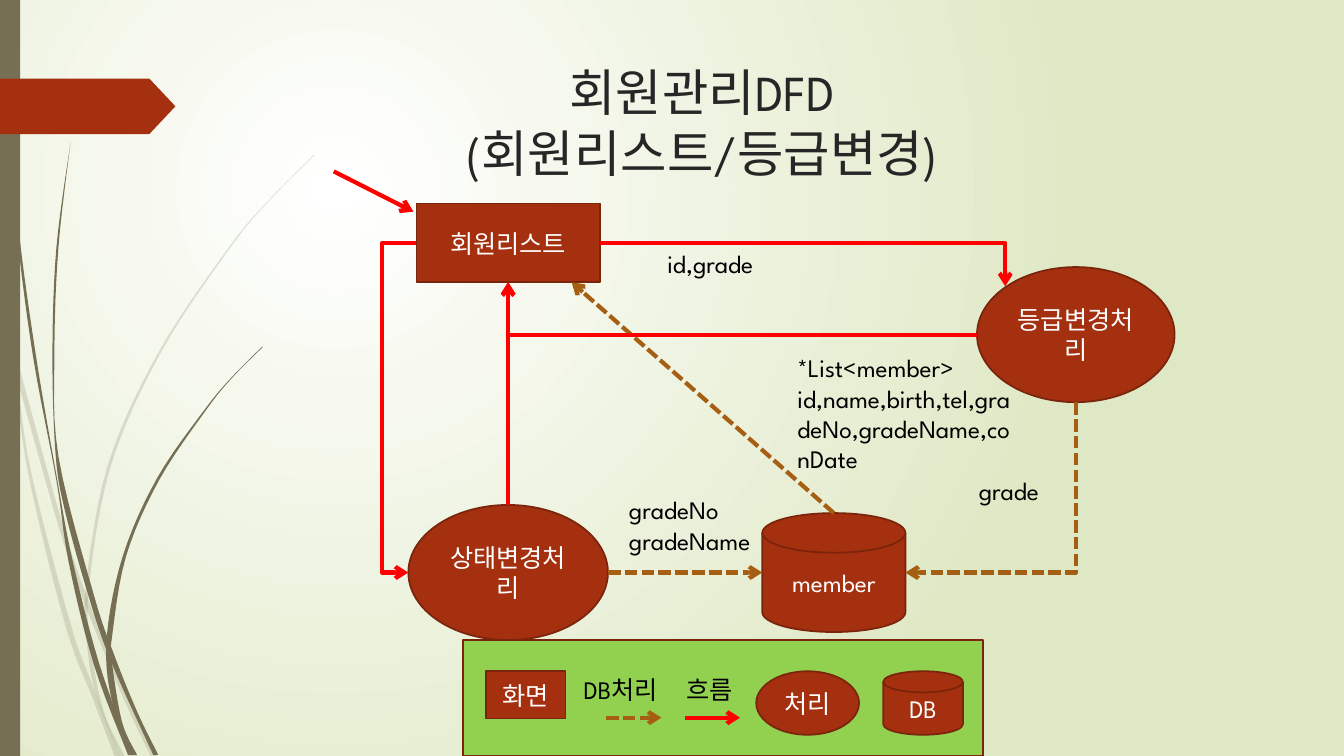
from dataclasses import dataclass

from lxml.etree import SubElement
from pptx import Presentation
from pptx.dml.color import RGBColor
from pptx.enum.dml import MSO_LINE
from pptx.enum.shapes import MSO_CONNECTOR, MSO_SHAPE
from pptx.enum.text import MSO_ANCHOR, PP_ALIGN
from pptx.oxml import parse_xml
from pptx.oxml.ns import nsdecls, qn
from pptx.util import Emu, Pt

PX = 9144
Point = tuple[int, int]
Box = tuple[int, int, int, int]


@dataclass(frozen=True)
class Theme:
    """Colours, font and type sizes of the slide."""
    font: str = "League Spartan"
    title_size: int = 36
    body_size: int = 18
    title: str = "262626"
    ink: str = "000000"
    white: str = "FFFFFF"
    edge_glow: str = "DFE8C4"
    stem: str = "766F54"
    brick: str = "A53010"
    brick_edge: str = "7A240C"
    flow: str = "FF0000"
    database: str = "A65E12"
    legend: str = "92D050"


THEME = Theme()


@dataclass(frozen=True)
class Wisp:
    """A grass blade given by its left and right edges."""
    left: list[Point]
    right: list[Point]
    opacity: int = 100


@dataclass(frozen=True)
class Node:
    """A diagram shape with its label."""
    kind: MSO_SHAPE
    box: Box
    label: str = ""
    fill: str = THEME.brick


@dataclass(frozen=True)
class Flow:
    """An arrow; joins are (node name, site) pairs."""
    begin: Point
    end: Point
    database: bool = False
    preset: str = "line"
    bend: int = 0
    turn: int = 0
    begin_join: tuple[str, int] | None = None
    end_join: tuple[str, int] | None = None


@dataclass(frozen=True)
class Note:
    """Free text beside the arrows."""
    box: Box
    lines: tuple[str, ...]
    wrap: bool = True


WISPS = [
    Wisp([(0, 299), (11, 350), (28, 470), (65, 621), (92, 693), (114, 751)],
         [(0, 282), (9, 322), (17, 376), (31, 469), (70, 619), (93, 683), (119, 751)], 20),
    Wisp([(17, 376), (58, 522), (84, 599), (123, 694), (150, 751)],
         [(14, 345), (62, 520), (92, 607), (127, 692), (155, 751)], 20),
    Wisp([(312, 153), (268, 197), (228, 244), (158, 348), (107, 461), (85, 584),
          (87, 646), (96, 692), (119, 751)],
         [(312, 154), (268, 198), (229, 245), (160, 349), (110, 462), (88, 584),
          (91, 646), (103, 706), (124, 751)], 20),
    Wisp([(3, 0), (7, 110), (17, 233), (33, 355), (56, 477), (68, 557), (93, 659), (127, 749)],
         [(4, 0), (8, 109), (19, 232), (36, 355), (57, 477), (72, 556), (98, 657), (131, 749)]),
    Wisp([(70, 141), (56, 245), (52, 349), (55, 449), (64, 505), (88, 592), (110, 656), (152, 749)],
         [(70, 141), (58, 245), (54, 349), (58, 453), (93, 590), (113, 649), (136, 706), (157, 749)]),
    Wisp([(260, 344), (231, 373), (204, 405), (156, 474), (122, 551), (106, 631),
          (110, 691), (130, 749)],
         [(261, 344), (231, 374), (205, 406), (158, 476), (125, 552), (111, 633),
          (111, 656), (121, 716), (136, 749)]),
]
NODES = {
    "list": Node(MSO_SHAPE.RECTANGLE, (413, 202, 182, 78), "회원리스트"),
    "member": Node(MSO_SHAPE.FLOWCHART_MAGNETIC_DISK, (756, 509, 142, 118), "member"),
    "state": Node(MSO_SHAPE.OVAL, (405, 501, 198, 134), "상태변경처리"),
    "grade": Node(MSO_SHAPE.OVAL, (969, 265, 196, 134), "등급변경처리"),
    "legend": Node(MSO_SHAPE.RECTANGLE, (459, 635, 516, 115), fill=THEME.legend),
    "screen key": Node(MSO_SHAPE.RECTANGLE, (482, 666, 79, 47), "화면"),
    "process key": Node(MSO_SHAPE.OVAL, (750, 666, 102, 63), "처리"),
    "database key": Node(MSO_SHAPE.FLOWCHART_MAGNETIC_DISK, (876, 666, 79, 63), "DB"),
}
FLOWS = [
    Flow((331, 170), (410, 210)),
    Flow((413, 241), (405, 568), preset="bentConnector3", bend=425000, begin_join=("list", 1)),
    Flow((504, 501), (504, 280), begin_join=("state", 0), end_join=("list", 2)),
    Flow((603, 568), (756, 568), database=True),
    Flow((595, 241), (997, 284), preset="bentConnector2", begin_join=("list", 3)),
    Flow((827, 509), (567, 280), database=True),
    Flow((969, 332), (504, 280), preset="bentConnector2", end_join=("list", 2)),
    Flow((898, 399), (1067, 568), database=True, preset="bentConnector2", turn=90),
    Flow((679, 712), (734, 712)),
    Flow((601, 712), (656, 712), database=True),
]
NOTES = [
    Note((652, 241, 142, 40), ("id,grade",)),
    Note((614, 486, 170, 70), ("gradeNo", "gradeName"), wrap=False),
    Note((671, 664, 71, 40), ("흐름",)),
    Note((569, 664, 101, 40), ("DB처리",), wrap=False),
    Note((961, 467, 93, 39), ("grade",)),
    Note((781, 345, 231, 129), ("*List<member>", "id,name,birth,tel,gradeNo,gradeName,conDate")),
]


def scaled(values: tuple[int, ...]) -> list[Emu]:
    """Turn px into EMU."""
    return [Emu(value * PX) for value in values]


def smooth(points: list[Point]) -> list[tuple[float, float]]:
    """Run a Catmull-Rom curve through the points, in EMU."""
    padded = [points[0], *points, points[-1]]
    curve = []
    for a, b, c, d in zip(padded, padded[1:], padded[2:], padded[3:]):
        for t in (step / 6 for step in range(6)):
            curve.append(tuple(PX / 2 * (
                2 * q + (r - p) * t + (2 * p - 5 * q + 4 * r - s) * t ** 2
                + (3 * q - p - 3 * r + s) * t ** 3) for p, q, r, s in zip(a, b, c, d)))
    return [*curve, (points[-1][0] * PX, points[-1][1] * PX)]


def paint(shape, fill: str, edge: str | None = None) -> None:
    """Give a shape a flat fill and an optional outline."""
    shape.shadow.inherit = False
    shape.fill.solid()
    shape.fill.fore_color.rgb = RGBColor.from_string(fill)
    if edge:
        shape.line.color.rgb = RGBColor.from_string(edge)
        shape.line.width = Pt(1.25)
    else:
        shape.line.fill.background()


def write(frame, lines: tuple[str, ...], *, size: int = THEME.body_size, color: str = THEME.ink,
          align=PP_ALIGN.LEFT, anchor=MSO_ANCHOR.TOP, wrap: bool = True) -> None:
    """Fill a text frame with one paragraph per line."""
    frame.word_wrap = wrap
    frame.vertical_anchor = anchor
    for index, line in enumerate(lines):
        para = frame.add_paragraph() if index else frame.paragraphs[0]
        para.alignment = align
        span = para.add_run()
        span.text = line
        span.font.size, span.font.name = Pt(size), THEME.font
        span.font.color.rgb = RGBColor.from_string(color)


def draw_background(page) -> None:
    """Set the round gradient behind the slide."""
    page.background.fill.solid()
    holder = page.background.fill._xPr
    stops = "".join(f'<a:gs pos="{place}"><a:srgbClr val="{color}"/></a:gs>'
                    for place, color in ((0, THEME.white), (100000, THEME.edge_glow)))
    holder.replace(holder.find(qn("a:solidFill")), parse_xml(
        f'<a:gradFill {nsdecls("a")} rotWithShape="1"><a:gsLst>{stops}</a:gsLst><a:path path="circle">'
        '<a:fillToRect l="50000" t="50000" r="100000" b="100000"/></a:path></a:gradFill>'))


def draw_wisp(page, wisp: Wisp) -> None:
    """Draw one grass blade."""
    outline = smooth(wisp.left) + smooth(wisp.right)[::-1]
    builder = page.shapes.build_freeform(*outline[0], scale=1.0)
    builder.add_line_segments(outline[1:], close=True)
    blade = builder.convert_to_shape()
    paint(blade, THEME.stem)
    color = blade._element.spPr.find(qn("a:solidFill"))[0]
    SubElement(color, qn("a:alpha")).set("val", str(wisp.opacity * 1000))


def draw_node(page, node: Node):
    """Draw one labelled shape."""
    shape = page.shapes.add_shape(node.kind, *scaled(node.box))
    paint(shape, node.fill, THEME.brick_edge)
    if node.label:
        write(shape.text_frame, (node.label,), color=THEME.white,
              align=PP_ALIGN.CENTER, anchor=MSO_ANCHOR.MIDDLE)
    return shape


def draw_flow(page, flow: Flow, shapes: dict) -> None:
    """Draw one straight or bent arrow."""
    kind = MSO_CONNECTOR.STRAIGHT if flow.preset == "line" else MSO_CONNECTOR.ELBOW
    arrow = page.shapes.add_connector(kind, *scaled(flow.begin + flow.end))
    for join, connect in ((flow.begin_join, arrow.begin_connect), (flow.end_join, arrow.end_connect)):
        if join:
            connect(shapes[join[0]], join[1])
    arrow.line.width = Pt(3)
    arrow.line.color.rgb = RGBColor.from_string(THEME.database if flow.database else THEME.flow)
    if flow.database:
        arrow.line.dash_style = MSO_LINE.SQUARE_DOT
    properties = arrow._element.spPr
    SubElement(properties.find(qn("a:ln")), qn("a:tailEnd")).set("type", "arrow")
    SubElement(properties, qn("a:effectLst"))
    geometry = properties.find(qn("a:prstGeom"))
    geometry.set("prst", flow.preset)
    if flow.bend:
        guide = SubElement(geometry.find(qn("a:avLst")), qn("a:gd"))
        guide.set("name", "adj1")
        guide.set("fmla", f"val {flow.bend}")
    if flow.turn:
        properties.find(qn("a:xfrm")).set("rot", str(flow.turn * 60000))


def main() -> None:
    """Build and save the deck."""
    deck = Presentation()
    deck.slide_width, deck.slide_height = scaled((1333, 750))
    page = deck.slides.add_slide(deck.slide_layouts[6])
    draw_background(page)
    for wisp in WISPS:
        draw_wisp(page, wisp)
    paint(page.shapes.add_shape(MSO_SHAPE.RECTANGLE, *scaled((0, 0, 20, 750))), THEME.stem)
    ribbon = page.shapes.add_shape(MSO_SHAPE.PENTAGON, *scaled((0, 78, 174, 55)))
    ribbon.adjustments[0] = 0.47
    paint(ribbon, THEME.brick)
    title = page.shapes.add_textbox(*scaled((209, 51, 975, 140)))
    write(title.text_frame, ("회원관리DFD", "(회원리스트/등급변경)"), size=THEME.title_size,
          color=THEME.title, align=PP_ALIGN.CENTER, anchor=MSO_ANCHOR.MIDDLE)
    shapes = {name: draw_node(page, node) for name, node in NODES.items()}
    for flow in FLOWS:
        draw_flow(page, flow, shapes)
    for note in NOTES:
        write(page.shapes.add_textbox(*scaled(note.box)).text_frame, note.lines, wrap=note.wrap)
    deck.save("out.pptx")


if __name__ == "__main__":
    main()
